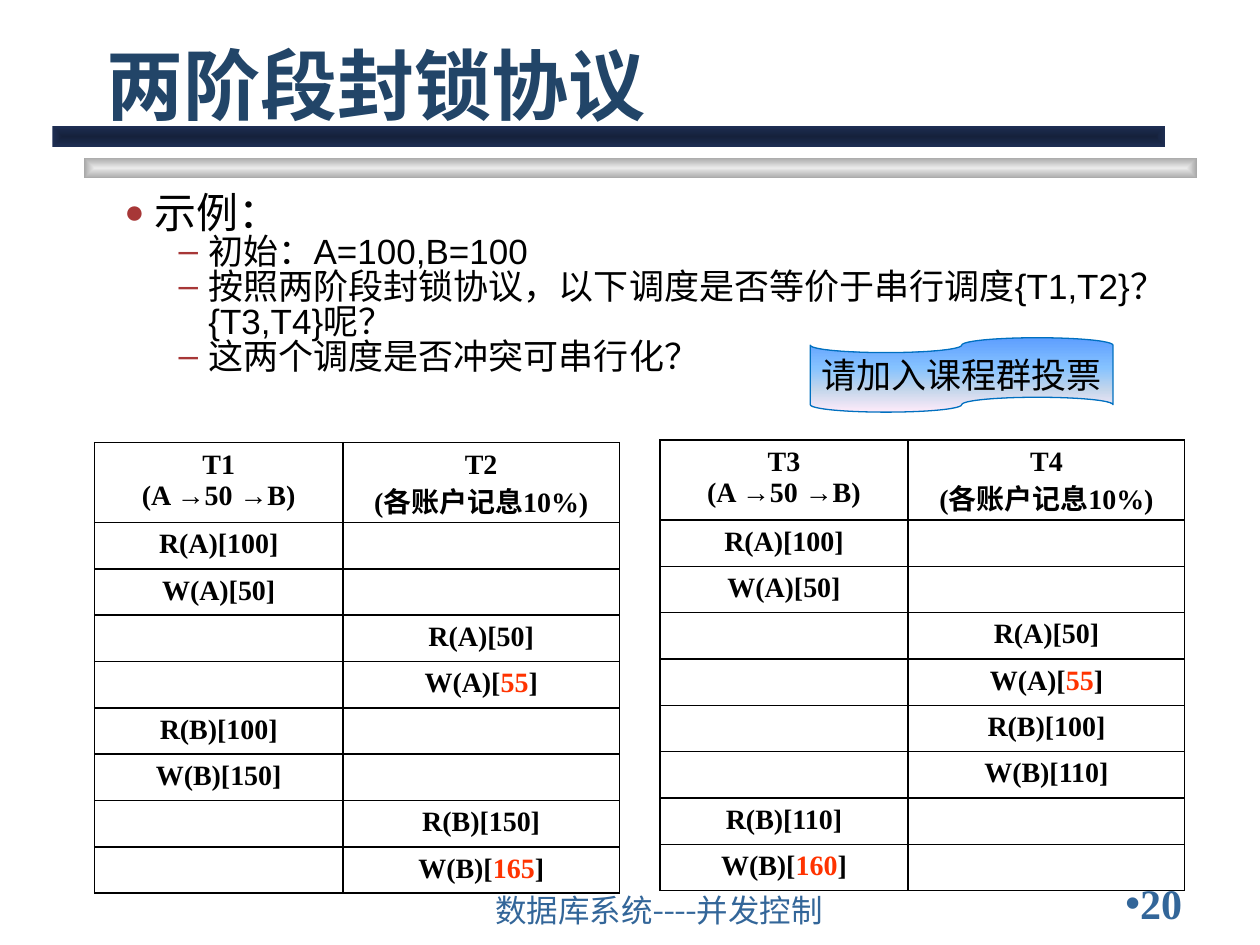
"""Build the slide on the two-phase locking protocol."""
from dataclasses import dataclass
from lxml import etree
from pptx import Presentation
from pptx.dml.color import RGBColor
from pptx.enum.shapes import MSO_SHAPE
from pptx.enum.text import MSO_ANCHOR, PP_ALIGN
from pptx.oxml import parse_xml
from pptx.oxml.ns import nsdecls, qn
from pptx.util import Pt

RECT, TAPE = MSO_SHAPE.RECTANGLE, MSO_SHAPE.WAVE
TAPE = MSO_SHAPE.FLOWCHART_PUNCHED_TAPE
MIDDLE, BOTTOM, TOP = MSO_ANCHOR.MIDDLE, MSO_ANCHOR.BOTTOM, MSO_ANCHOR.TOP
CENTER = PP_ALIGN.CENTER
HAN = "Noto Sans CJK JP"
COLORS = {
    "black": "000000", "red": "FF3300", "title": "224568",
    "foot": "336699", "bullet": "A73737", "edge": "0070C0",
}
FOCUS = ('<a:path path="shape"><a:fillToRect l="50000" t="50000" '
         'r="50000" b="50000"/></a:path>')
DOWN = '<a:lin ang="5400000" scaled="0"/>'


@dataclass(frozen=True)
class Box:
    left: float
    top: float
    width: float
    height: float

    def points(self) -> tuple:
        return Pt(self.left), Pt(self.top), Pt(self.width), Pt(self.height)


@dataclass(frozen=True)
class Style:
    size: float
    font: str
    color: str = "black"
    bold: bool = False


@dataclass(frozen=True)
class Bar:
    box: Box
    stops: tuple


@dataclass(frozen=True)
class Grid:
    left: float
    top: float
    heads: tuple
    steps: tuple


@dataclass(frozen=True)
class Item:
    text: str
    style: Style
    mark: str
    indent: float
    level: int = 1
    scale: int = 100


CELL = Style(16, "Times New Roman", bold=True)
MAIN, SUB = Style(24, "Arial"), Style(20, "Arial")
BARS = (
    Bar(Box(48, 90, 636, 12), ((0, "EAEAEA"), (100, "A7A7A7"))),
    Bar(Box(30, 72, 636, 12), ((0, "15213B"), (100, "1E2E53"))),
)
SKY = ((0, "5E9EFF"), (40, "85C2FF"), (70, "C4D6EB"), (100, "FFEBFA"))
MOVE, RATE = "(A →50 →B)", "(各账户记息10%)"
START = ((0, "R(A)[100]"), (0, "W(A)[50]"), (1, "R(A)[50]"), (1, "W(A)[*55*]"))
GRIDS = (
    Grid(377, 251.5, (f"T3\n{MOVE}", f"T4\n{RATE}"), START + (
        (1, "R(B)[100]"), (1, "W(B)[110]"), (0, "R(B)[110]"), (0, "W(B)[*160*]"))),
    Grid(54, 253, (f"T1\n{MOVE}", f"T2\n{RATE}"), START + (
        (0, "R(B)[100]"), (0, "W(B)[150]"), (1, "R(B)[150]"), (1, "W(B)[*165*]"))),
)
ITEMS = (
    Item("示例：", MAIN, "●", 27, 0, 80),
    Item("初始：A=100,B=100", SUB, "–", 58),
    Item("按照两阶段封锁协议，以下调度是否等价于串行调度{T1,T2}？{T3,T4}呢？", SUB, "–", 58),
    Item("这两个调度是否冲突可串行化？", SUB, "–", 58),
)


def add_run(para, text: str, style: Style, color: str = "") -> None:
    run = para.add_run()
    run.text = text
    font = run.font
    font.size, font.name, font.bold = Pt(style.size), style.font, style.bold
    font.color.rgb = RGBColor.from_string(COLORS[color or style.color])
    etree.SubElement(run._r.rPr, qn("a:ea"), typeface=HAN)


def add_mark(para, mark: str, color: str, indent: float = 0,
             hang: float = 0, scale: int = 100) -> None:
    props = para._p.get_or_add_pPr()
    props.set("marL", str(Pt(indent)))
    props.set("indent", str(Pt(-hang)))
    tint = etree.SubElement(props, qn("a:buClr"))
    etree.SubElement(tint, qn("a:srgbClr"), val=COLORS[color])
    etree.SubElement(props, qn("a:buSzPct"), val=str(scale * 1000))
    etree.SubElement(props, qn("a:buFont"), typeface="Arial")
    etree.SubElement(props, qn("a:buChar"), char=mark)


def add_text(slide, box: Box, anchor):
    frame = slide.shapes.add_textbox(*box.points()).text_frame
    frame.word_wrap = True
    frame.vertical_anchor = anchor
    return frame


def add_shade(slide, kind, box: Box, stops: tuple, path: str):
    shape = slide.shapes.add_shape(kind, *box.points())
    shape.shadow.inherit = False
    shape.line.fill.background()
    marks = "".join(f'<a:gs pos="{pos * 1000}"><a:srgbClr val="{tone}"/></a:gs>'
                    for pos, tone in stops)
    shape._element.spPr.insert(2, parse_xml(
        f'<a:gradFill {nsdecls("a")} rotWithShape="1">'
        f'<a:gsLst>{marks}</a:gsLst>{path}</a:gradFill>'))
    return shape


def fill_cell(cell, text: str) -> None:
    props = cell._tc.get_or_add_tcPr()
    for side in ("lnL", "lnR", "lnT", "lnB"):
        line = etree.SubElement(props, qn(f"a:{side}"), w=str(Pt(1)))
        fill = etree.SubElement(line, qn("a:solidFill"))
        etree.SubElement(fill, qn("a:srgbClr"), val=COLORS["black"])
    cell.fill.background()
    frame = cell.text_frame
    for row, words in enumerate(text.split("\n")):
        para = frame.add_paragraph() if row else frame.paragraphs[0]
        para.alignment = CENTER
        for part, piece in enumerate(words.split("*")):
            if piece:
                add_run(para, piece, CELL, "red" if part % 2 else "")
        if not words:
            end = etree.SubElement(para._p, qn("a:endParaRPr"), sz=str(CELL.size * 100))
            etree.SubElement(end, qn("a:latin"), typeface=CELL.font)


def add_grid(slide, grid: Grid) -> None:
    count = len(grid.steps) + 1
    box = Box(grid.left, grid.top, 300, 257)
    table = slide.shapes.add_table(count, 2, *box.points()).table
    table.first_row = table.horz_banding = False
    for col, width in zip(table.columns, (142, 158)):
        col.width = Pt(width)
    for pos, row in enumerate(table.rows):
        row.height = Pt(26.5 if pos else 45)
    for col, head in enumerate(grid.heads):
        fill_cell(table.cell(0, col), head)
    for row, (side, text) in enumerate(grid.steps, 1):
        for col in range(2):
            fill_cell(table.cell(row, col), text if col == side else "")


def add_list(slide, items: tuple) -> None:
    frame = add_text(slide, Box(54, 108, 646, 134), TOP)
    for pos, item in enumerate(items):
        para = frame.add_paragraph() if pos else frame.paragraphs[0]
        para.level, para.line_spacing = item.level, 0.83
        add_mark(para, item.mark, "bullet", item.indent, 17, item.scale)
        add_run(para, item.text, item.style)


def main() -> None:
    deck = Presentation()
    deck.slide_width, deck.slide_height = Pt(720), Pt(540)
    slide = deck.slides.add_slide(deck.slide_layouts[6])
    for bar in BARS:
        add_shade(slide, RECT, bar.box, bar.stops, FOCUS)
    page = add_text(slide, Box(636, 504, 78, 24), MIDDLE).paragraphs[0]
    add_mark(page, "•", "foot")
    add_run(page, "20", Style(24, "Times New Roman", "foot", True))
    foot = add_text(slide, Box(276, 510, 294, 24), BOTTOM).paragraphs[0]
    add_run(foot, "数据库系统----并发控制", Style(18, "Karla", "foot"))
    title = add_text(slide, Box(54, 12, 612, 66), BOTTOM).paragraphs[0]
    add_run(title, "两阶段封锁协议", Style(44, "Arial", "title", True))
    for grid in GRIDS:
        add_grid(slide, grid)
    add_list(slide, ITEMS)
    tape = add_shade(slide, TAPE, Box(463, 193, 173, 42.5), SKY, DOWN)
    tape.line.color.rgb = RGBColor.from_string(COLORS["edge"])
    tape.line.width = Pt(0.75)
    tape.text_frame.word_wrap = False
    tape.text_frame.vertical_anchor = MIDDLE
    call = tape.text_frame.paragraphs[0]
    call.alignment = CENTER
    add_run(call, "请加入课程群投票", Style(20, HAN))
    deck.save("out.pptx")


if __name__ == "__main__":
    main()
